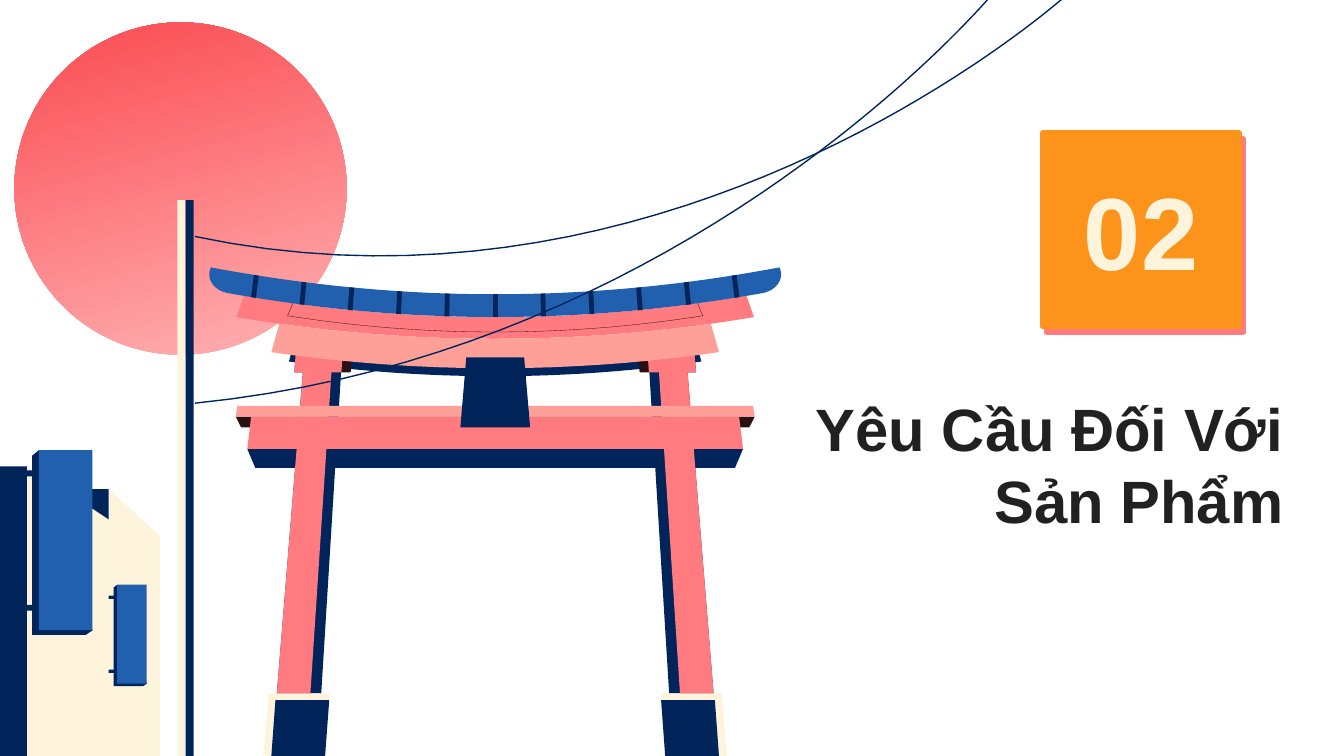
from lxml import etree
from pptx import Presentation
from pptx.dml.color import RGBColor
from pptx.enum import shapes, text
from pptx.oxml import ns
from pptx.util import Pt

HUE = {
    "navy": "01255B", "blue": "2160AF", "pink": "FF7B7F", "peach": "FEA098",
    "cream": "FEF4DC", "dark": "281114", "gold": "FC941C", "ink": "212121",
    "pale": "FFBDBF", "red": "FA4046",
}


def rgb(name):
    """Return the named colour."""
    return RGBColor.from_string(HUE[name])


def paint(shape, fill=None, line=None, width=0):
    """Set the fill and line of a shape and drop its shadow."""
    shape.shadow.inherit = False
    if fill:
        shape.fill.solid()
        shape.fill.fore_color.rgb = rgb(fill)
    else:
        shape.fill.background()
    if line:
        shape.line.color.rgb = rgb(line)
        shape.line.width = Pt(width)
    else:
        shape.line.fill.background()
    return shape


def trace(items, x, y, dots, fill=None, line=None, width=0):
    """Draw an outline through points offset by x and y; filled ones close."""
    spots = [(Pt(x + a), Pt(y + b)) for a, b in dots]
    pen = items.build_freeform(*spots[0], scale=1.0)
    pen.add_line_segments(spots[1:], close=bool(fill))
    return paint(pen.convert_to_shape(), fill, line, width)


def block(items, x, y, w, h, fill):
    """Draw a plain rectangle."""
    box = items.add_shape(shapes.MSO_SHAPE.RECTANGLE, Pt(x), Pt(y), Pt(w), Pt(h))
    return paint(box, fill)


def bezier(a, b, c, d, n=40):
    """Sample a cubic curve in n steps."""
    mix = lambda i, t: ((1 - t)**3 * a[i] + 3 * t * (1 - t)**2 * b[i]
                        + 3 * t * t * (1 - t) * c[i] + t**3 * d[i])
    return [(mix(0, k / n), mix(1, k / n)) for k in range(n + 1)]


def sag(half, end, mid, x):
    """Return the height at x of a parabola sagging from end to mid."""
    return mid - (mid - end) * (x / half)**2


def arc(half, end, mid, n=40):
    """Sample a sagging parabola from left to right."""
    xs = [half * (2 * k / n - 1) for k in range(n + 1)]
    return [(x, sag(half, end, mid, x)) for x in xs]


def flip(dots):
    """Mirror points about the middle axis, in reverse order."""
    return [(-a, b) for a, b in reversed(dots)]


def sun(items, x, y, w, h):
    """Draw the fading sun."""
    disc = paint(items.add_shape(shapes.MSO_SHAPE.OVAL, Pt(x), Pt(y), Pt(w), Pt(h)))
    disc.fill.gradient()
    disc.fill.gradient_angle = 270
    for stop, name, at in zip(disc.fill.gradient_stops, ("pale", "red"), (0, 1)):
        stop.color.rgb = rgb(name)
        stop.position = at
    disc.rotation = 165


def gate(items, x, y, w, h):
    """Draw the gate, symmetric about the middle of its box."""
    items = items.add_group_shape().shapes
    mid = x + w / 2

    def even(half, fill):
        """Draw a left outline joined with its mirror."""
        trace(items, mid, y, half + flip(half), fill)

    def band(top, low, fill):
        """Draw a sagging band between two arcs."""
        trace(items, mid, y, arc(*top) + arc(*low)[::-1], fill)

    even([(-139, 79.9), (-136.1, 85.7)], "dark")
    even([(-127.1, 94.3), (-132.8, 97.2), (-128.5, 107.3)], "navy")
    band((106.2, 34.6, 42.5), (110.5, 50.4, 58.3), "navy")
    leg = [
        ("dark", 46.8, 56.2, -106.9, -107.6, -77.4, -76.7),
        ("navy", 41.8, 228.2, -101.9, -117, -93.2, -81.7),
        ("cream", 228.2, h, -121.3, -124.2, -91.1, -88.9),
        ("navy", 231.8, h, -117.7, -119.9, -91.1, -88.9),
        ("pink", 41.8, 228.2, -101.9, -117, -99, -86.8),
        ("pink", 46.8, 56.2, -106.9, -107.6, -82.4, -81.7),
    ]
    for side in (1, -1):
        for fill, top, low, *xs in leg:
            dots = zip([side * a for a in xs], (top, low, low, top))
            trace(items, mid, y, dots, fill)
    band((134.6, 15.1, 26.6), (138.6, 26.6, 38.2), "pink")
    seam = [(-107.6, 17.3)] + arc(111.2, 25.9, 34.6) + [(107.6, 17.3)]
    trace(items, mid, y, seam, line="dark", width=0.17)
    roof(items, mid, y)
    band((115.6, 30.2, 38.2), (119.9, 45.4, 54), "peach")
    even([(-130.7, 79.9), (-132.8, 97.2)], "pink")
    even([(-138.2, 74.2), (-139, 79.9)], "peach")
    even([(-15.5, 48.2), (-18.7, 85.7)], "navy")


def roof(items, mid, y):
    """Draw the tiled roof and its evenly spaced ribs."""
    top, low = (152.3, 0, 14.4), (143.6, 13.7, 26.6)
    tip = bezier((152.3, 0), (155.2, 5.8), (150.8, 12.2), (143.6, 13.7), 12)
    trace(items, mid, y, arc(*top) + tip + arc(*low)[::-1] + flip(tip), "blue")
    for k in range(-5, 6):
        up = [(25.6 * k + d, sag(*top, 25.6 * k + d)) for d in (-1.3, 1.3)]
        down = [(25.9 * k + d, sag(*low, 25.9 * k + d)) for d in (1.3, -1.3)]
        trace(items, mid, y, up + down, "navy")


def title(items, x, y, w, h):
    """Place the section title."""
    box = items.add_textbox(Pt(x), Pt(y), Pt(w), Pt(h))
    write(box, "Yêu Cầu Đối Với Sản Phẩm", 32, "ink", text.PP_ALIGN.RIGHT)


def write(shape, words, size, hue, align):
    """Fill a shape with one bold paragraph."""
    frame = shape.text_frame
    frame.word_wrap = True
    frame.vertical_anchor = text.MSO_ANCHOR.MIDDLE
    frame.margin_left = frame.margin_right = Pt(7.2)
    frame.margin_top = frame.margin_bottom = Pt(7.2)
    para = frame.paragraphs[0]
    para.text = words
    para.alignment = align
    para.font.name, para.font.size, para.font.bold = "Arial", Pt(size), True
    para.font.color.rgb = rgb(hue)


def badge(items, x, y, w, h):
    """Draw the number tile with its hard shadow."""
    tile = block(items, x, y, w, h, "gold")
    paint(tile, "gold", "gold", 3)
    etree.SubElement(tile.line._get_or_add_ln(), ns.qn("a:round"))
    glow = tile._element.spPr.find(ns.qn("a:effectLst"))
    cast = etree.SubElement(glow, ns.qn("a:outerShdw"), dist=str(Pt(3.8)),
                            dir=str(56 * 60000), algn="bl", rotWithShape="0")
    etree.SubElement(cast, ns.qn("a:srgbClr"), val=HUE["pink"])
    write(tile, "02", 55, "cream", text.PP_ALIGN.CENTER)


def sign(items, x, y, k):
    """Draw a hanging sign scaled by k."""
    w, h, d = 28.8 * k, 96.5 * k, 3.6 * k
    low = h + 2.4 * k
    side = [(0, 0), (-d, 2.9 * k), (-d, low), (w - d, low), (w, h)]
    trace(items, x, y, side, "navy")
    for drop in (10.8, 82.8):
        block(items, x - 8.4 * k, y + drop * k, 7.2 * k, 3.2 * k, "navy")
    block(items, x, y, w, h, "blue")


def street(items, x, y, w, h):
    """Draw the houses and their signs."""
    items = items.add_group_shape().shapes
    trace(items, x, y, [(58.3, 20.9), (58.3, h), (w, h), (w, 46.1)], "cream")
    block(items, x + 18, y + 20.9, 40.3, h - 20.9, "navy")
    near = [(14.4, 8.6), (14.4, h), (59.8, h), (59.8, 38.2), (33.8, 20.9)]
    trace(items, x, y, near, "cream")
    block(items, x, y + 8.6, 14.4, h - 8.6, "navy")
    sign(items, x + 62.8, y + 72, 0.55)
    sign(items, x + 20.8, y, 1)


def pole(items, x, y, w, h):
    """Draw the pole and its two wires."""
    items = items.add_group_shape().shapes
    for far, bend, end in (((476.7, -110.2), (271.5, 74.9), (9.4, 19.4)),
                           ((437, -110.9), (276.5, 82.1), (9.4, 108.7))):
        trace(items, x, y, bezier(far, far, bend, end), line="navy", width=0.75)
    for k, fill in enumerate(("cream", "navy")):
        block(items, x + k * w / 2, y, w / 2, h, fill)


def main():
    """Build and save the slide."""
    deck = Presentation()
    deck.slide_width, deck.slide_height = Pt(720), Pt(405)
    items = deck.slides.add_slide(deck.slide_layouts[6]).shapes
    sun(items, 7.7, 12, 178, 178)
    gate(items, 110.3, 143.3, 310, 261.7)
    title(items, 420.5, 212.4, 274.3, 72)
    badge(items, 558.7, 71.3, 105.1, 103.7)
    street(items, 0, 241.2, 85.7, 163.8)
    pole(items, 95, 107.3, 8.8, 297.7)
    deck.save("out.pptx")


if __name__ == "__main__":
    main()
